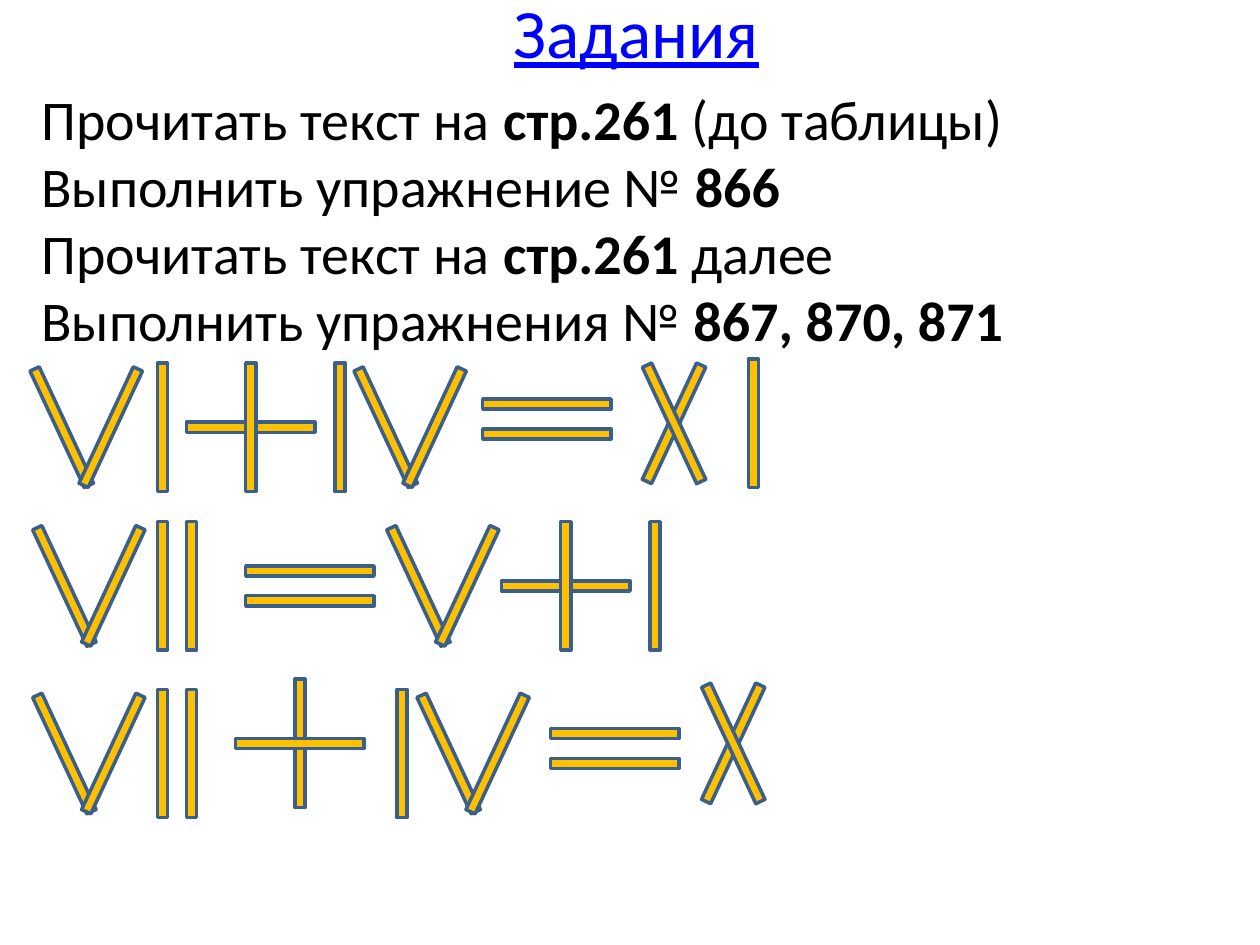
from pptx import Presentation
from pptx.dml.color import RGBColor
from pptx.enum.shapes import MSO_SHAPE
from pptx.enum.text import MSO_ANCHOR, PP_ALIGN
from pptx.util import Pt

RECTANGLE = MSO_SHAPE.RECTANGLE
MIDDLE, TOP = MSO_ANCHOR.MIDDLE, MSO_ANCHOR.TOP
CENTER, LEFT = PP_ALIGN.CENTER, PP_ALIGN.LEFT

COLORS = {"title": "0000FF", "text": "000000", "match": "FFC000", "edge": "3A5F8C"}

TASKS = [
    [("Прочитать текст на ", False), ("стр.261 ", True), ("(до таблицы)", False)],
    [("Выполнить упражнение № ", False), ("866", True)],
    [("Прочитать текст на ", False), ("стр.261 ", True), ("далее", False)],
    [("Выполнить упражнения № ", False), ("867, 870, 871", True)],
]

# Each sign: symbol, centre x, shift of its centre from the middle of the row
EQUATIONS = [
    (244.1, [("V", 49.3, 0), ("I", 92.9, 0), ("+", 143.3, 0), ("I", 194.4, 0),
             ("V", 234.4, 0), ("=", 312.5, -4.7), ("X", 385.2, -2.2), ("I", 430.6, -2.2)]),
    (334.8, [("V", 50.8, 0), ("I", 92.9, 0), ("I", 109.4, 0), ("=", 177.1, 0),
             ("V", 253.1, 0), ("+", 323.3, 0), ("I", 374.4, 0)]),
    (430.6, [("V", 50.8, 0), ("I", 92.9, 0), ("I", 109.4, 0), ("∔", 171.4, -5.8),
             ("I", 229.7, 0), ("V", 270.4, 0), ("=", 351.4, -2.9), ("X", 419, -5.8)]),
]

# Matches of each sign, back to front: dx, dy, rotation
SIGNS = {
    "I": [(0, 0, 0)],
    "V": [(-14, 0, 335), (14, 0, 25)],
    "X": [(0, 0, 25), (0, 0, 335)],
    "+": [(0, 0, 270), (0, 0, 0)],
    "∔": [(0, 0, 0), (0, 0, 270)],  # plus with the horizontal match in front
    "=": [(0, -8.5, 270), (0, 8.5, 270)],
}
GROUPED_SIGNS = "VX"


def add_run(paragraph, text, size, color, bold=False, underline=False):
    run = paragraph.add_run()
    run.text = text
    font = run.font
    font.name = "Calibri"
    font.size = Pt(size)
    font.bold = bold
    font.underline = underline
    font.color.rgb = RGBColor.from_string(COLORS[color])


class MatchSlide:
    match_width = 5.8
    match_length = 73.4
    line_width = 2

    def __init__(self, slide):
        self.slide = slide

    def text(self, box, lines, anchor=TOP, align=LEFT, **style):
        """Add a text box; each line is a list of (text, bold) pairs."""
        shape = self.slide.shapes.add_textbox(*map(Pt, box))
        frame = shape.text_frame
        frame.word_wrap = True
        frame.vertical_anchor = anchor
        for index, line in enumerate(lines):
            paragraph = frame.add_paragraph() if index else frame.paragraphs[0]
            paragraph.alignment = align
            for text, bold in line:
                add_run(paragraph, text, bold=bold, **style)

    def match(self, shapes, x, y, rotation):
        """Add one match centred on (x, y)."""
        shape = shapes.add_shape(
            RECTANGLE, Pt(x - self.match_width / 2), Pt(y - self.match_length / 2),
            Pt(self.match_width), Pt(self.match_length))
        shape.rotation = rotation
        shape.shadow.inherit = False
        shape.fill.solid()
        shape.fill.fore_color.rgb = RGBColor.from_string(COLORS["match"])
        shape.line.color.rgb = RGBColor.from_string(COLORS["edge"])
        shape.line.width = Pt(self.line_width)

    def sign(self, symbol, x, y):
        shapes = self.slide.shapes
        if symbol in GROUPED_SIGNS:
            shapes = shapes.add_group_shape().shapes
        for dx, dy, rotation in SIGNS[symbol]:
            self.match(shapes, x + dx, y + dy, rotation)


def main():
    presentation = Presentation()
    presentation.slide_width, presentation.slide_height = Pt(720), Pt(540)
    slide = MatchSlide(presentation.slides.add_slide(presentation.slide_layouts[6]))

    slide.text((16.6, 44.6, 703.4, 162.7), TASKS, size=32, color="text")
    slide.text((39.6, 0, 648, 34.6), [[("Задания", False)]], anchor=MIDDLE,
               align=CENTER, size=39.6, color="title", underline=True)
    for row_y, signs in EQUATIONS:
        for symbol, x, shift in signs:
            slide.sign(symbol, x, row_y + shift)

    presentation.save("out.pptx")


if __name__ == "__main__":
    main()
